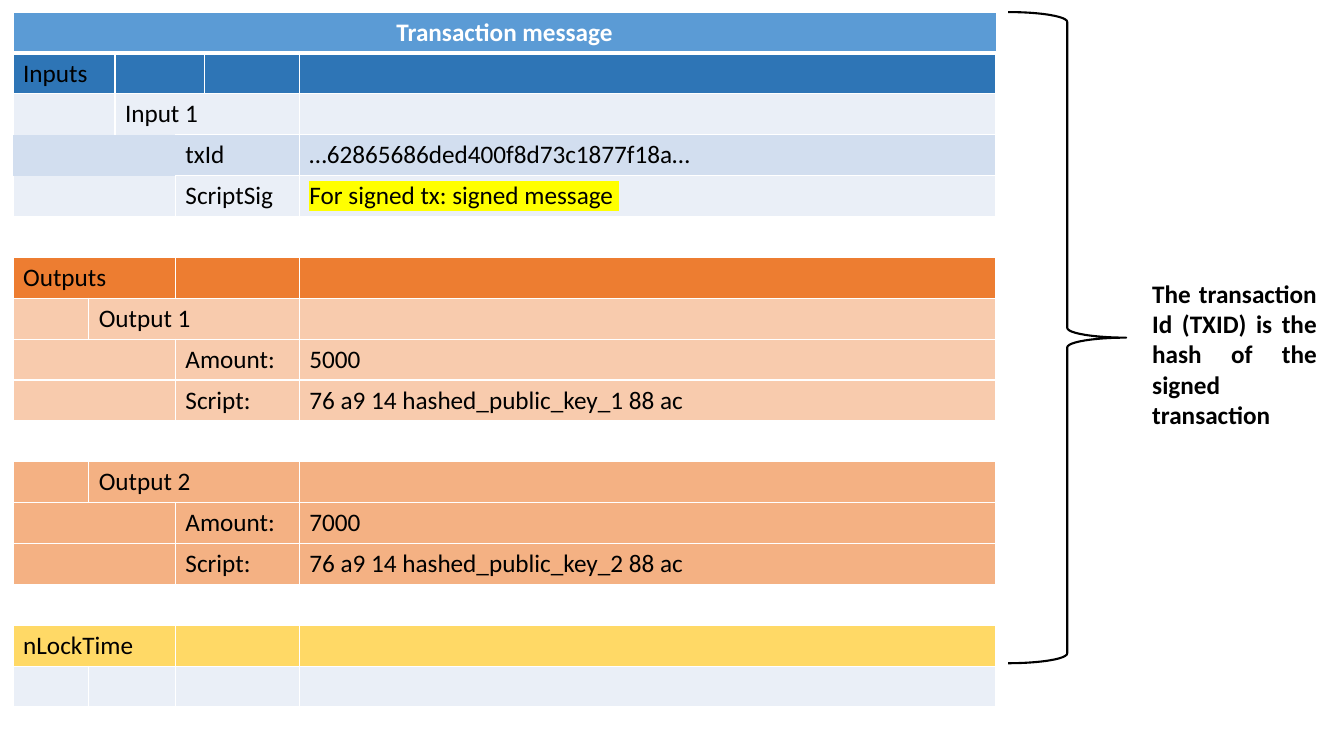
from dataclasses import dataclass, field

from lxml.etree import SubElement
from pptx import Presentation
from pptx.dml.color import RGBColor
from pptx.enum.shapes import MSO_SHAPE
from pptx.enum.text import MSO_AUTO_SIZE, PP_ALIGN
from pptx.oxml.ns import qn
from pptx.shapes.group import GroupShape
from pptx.slide import Slide
from pptx.table import Table, _Cell
from pptx.text.text import TextFrame
from pptx.util import Pt

EMU_PER_PX = 9144
FONT = "Calibri"
TEXT_SIZE = Pt(18)

WHITE = RGBColor(0xFF, 0xFF, 0xFF)
BLACK = RGBColor(0x00, 0x00, 0x00)
YELLOW = RGBColor(0xFF, 0xFF, 0x00)
TITLE_BLUE = RGBColor(0x5B, 0x9B, 0xD5)
INPUTS_BLUE = RGBColor(0x2E, 0x75, 0xB6)
PALE_BLUE = RGBColor(0xEA, 0xEF, 0xF7)
LIGHT_BLUE = RGBColor(0xD2, 0xDE, 0xEF)
OUTPUTS_ORANGE = RGBColor(0xED, 0x7D, 0x31)
PALE_ORANGE = RGBColor(0xF8, 0xCB, 0xAD)
LIGHT_ORANGE = RGBColor(0xF4, 0xB1, 0x83)
LOCK_YELLOW = RGBColor(0xFF, 0xD9, 0x66)

COLUMN_WIDTHS = (75, 26, 60, 29, 94, 691)
ROW_HEIGHT = 40

FULL = (6,)
INPUTS = (2, 2, 1, 1)
INPUT_NAME = (2, 3, 1)
SECTION = (3, 2, 1)
OUTPUT_NAME = (1, 4, 1)
LOCK_VALUE = (1, 2, 2, 1)


@dataclass(frozen=True)
class TextStyle:
    color: RGBColor = BLACK
    bold: bool = False
    align: PP_ALIGN = PP_ALIGN.LEFT
    highlight: RGBColor | None = None


@dataclass(frozen=True)
class MessageRow:
    """One table row; hidden maps a cell's place in the row to its unlined sides."""

    fill: RGBColor
    spans: tuple[int, ...]
    texts: tuple[str, ...] = ()
    style: TextStyle = TextStyle()
    hidden: dict[int, str] = field(default_factory=dict)
    bottom_width: int = 1


def output_rows(number: int, amount: str, fill: RGBColor) -> list[MessageRow]:
    script = f"76 a9 14 hashed_public_key_{number} 88 ac"
    return [
        MessageRow(fill, OUTPUT_NAME, ("", f"Output {number}")),
        MessageRow(fill, SECTION, ("", "Amount:", amount)),
        MessageRow(fill, SECTION, ("", "Script:", script)),
    ]


TITLE_STYLE = TextStyle(WHITE, True, PP_ALIGN.CENTER)
NOTE_STYLE = TextStyle(bold=True, align=PP_ALIGN.JUSTIFY)
GAP = MessageRow(WHITE, FULL)

MESSAGE_ROWS = [
    MessageRow(TITLE_BLUE, FULL, ("Transaction message",), TITLE_STYLE, bottom_width=3),
    MessageRow(INPUTS_BLUE, INPUTS, ("Inputs",)),
    MessageRow(PALE_BLUE, INPUT_NAME, ("", "Input 1"), hidden={0: "B", 1: "B"}),
    MessageRow(LIGHT_BLUE, SECTION, ("", "txId", "…62865686ded400f8d73c1877f18a…"),
               hidden={0: "LRTB", 1: "L"}),
    MessageRow(PALE_BLUE, SECTION, ("", "ScriptSig", "For signed tx: signed message "),
               TextStyle(highlight=YELLOW), hidden={0: "T"}),
    GAP,
    MessageRow(OUTPUTS_ORANGE, SECTION, ("Outputs",)),
    *output_rows(1, "5000", PALE_ORANGE),
    GAP,
    *output_rows(2, "7000", LIGHT_ORANGE),
    GAP,
    MessageRow(LOCK_YELLOW, SECTION, ("nLockTime",)),
    MessageRow(PALE_BLUE, LOCK_VALUE),
]


def px(length: int) -> int:
    return length * EMU_PER_PX


def write_text(frame: TextFrame, text: str, style: TextStyle) -> None:
    paragraph = frame.paragraphs[0]
    paragraph.alignment = style.align
    run = paragraph.add_run()
    run.text = text
    run.font.size = TEXT_SIZE
    run.font.bold = style.bold
    run.font.color.rgb = style.color
    if style.highlight is not None:
        highlight = SubElement(run.font._element, qn("a:highlight"))
        SubElement(highlight, qn("a:srgbClr"), val=str(style.highlight))
    run.font.name = FONT


def draw_borders(cell: _Cell, sides: str, bottom_width: int) -> None:
    properties = cell._tc.get_or_add_tcPr()
    for side in "LRTB":
        width = Pt(bottom_width if side == "B" else 1)
        line = SubElement(properties, qn(f"a:ln{side}"), w=str(width))
        if side in sides:
            line_fill = SubElement(line, qn("a:solidFill"))
            SubElement(line_fill, qn("a:srgbClr"), val=str(WHITE))
        else:
            SubElement(line, qn("a:noFill"))


def fill_row(table: Table, row_index: int, row: MessageRow) -> None:
    first = 0
    for place, span in enumerate(row.spans):
        last = first + span - 1
        origin = table.cell(row_index, first)
        if span > 1:
            origin.merge(table.cell(row_index, last))
        for column in range(first, last + 1):
            cell = table.cell(row_index, column)
            sides = "TB" + "L" * (column == first) + "R" * (column == last)
            shown = "".join(s for s in sides if s not in row.hidden.get(place, ""))
            draw_borders(cell, shown, row.bottom_width)
            cell.fill.solid()
            cell.fill.fore_color.rgb = row.fill
        text = row.texts[place] if place < len(row.texts) else ""
        if text:
            is_value = place == len(row.spans) - 1
            write_text(origin.text_frame, text, row.style if is_value else TextStyle())
        first += span


def add_message_table(slide: Slide) -> None:
    frame = slide.shapes.add_table(
        len(MESSAGE_ROWS), len(COLUMN_WIDTHS), px(13), px(12),
        px(sum(COLUMN_WIDTHS)), px(ROW_HEIGHT * len(MESSAGE_ROWS)))
    table = frame.table
    table.first_row = False
    table.horz_banding = False
    for column, width in zip(table.columns, COLUMN_WIDTHS):
        column.width = px(width)
    for row_index, row in enumerate(MESSAGE_ROWS):
        table.rows[row_index].height = px(ROW_HEIGHT)
        fill_row(table, row_index, row)


def add_brace(group: GroupShape) -> None:
    brace = group.shapes.add_shape(
        MSO_SHAPE.RIGHT_BRACE, px(1000), px(12), px(117), px(646))
    brace.shadow.inherit = False
    brace.fill.background()
    brace.line.color.rgb = BLACK
    brace.line.width = Pt(1.5)


def add_note(group: GroupShape) -> None:
    note = group.shapes.add_textbox(px(1133), px(271), px(183), px(162))
    note.text_frame.word_wrap = True
    note.text_frame.auto_size = MSO_AUTO_SIZE.SHAPE_TO_FIT_TEXT
    write_text(note.text_frame,
               "The transaction Id (TXID) is the hash of the signed transaction",
               NOTE_STYLE)


def main() -> None:
    presentation = Presentation()
    presentation.slide_width = px(1333)
    presentation.slide_height = px(750)
    slide = presentation.slides.add_slide(presentation.slide_layouts[6])
    add_message_table(slide)
    group = slide.shapes.add_group_shape()
    add_brace(group)
    add_note(group)
    presentation.save("out.pptx")


if __name__ == "__main__":
    main()
